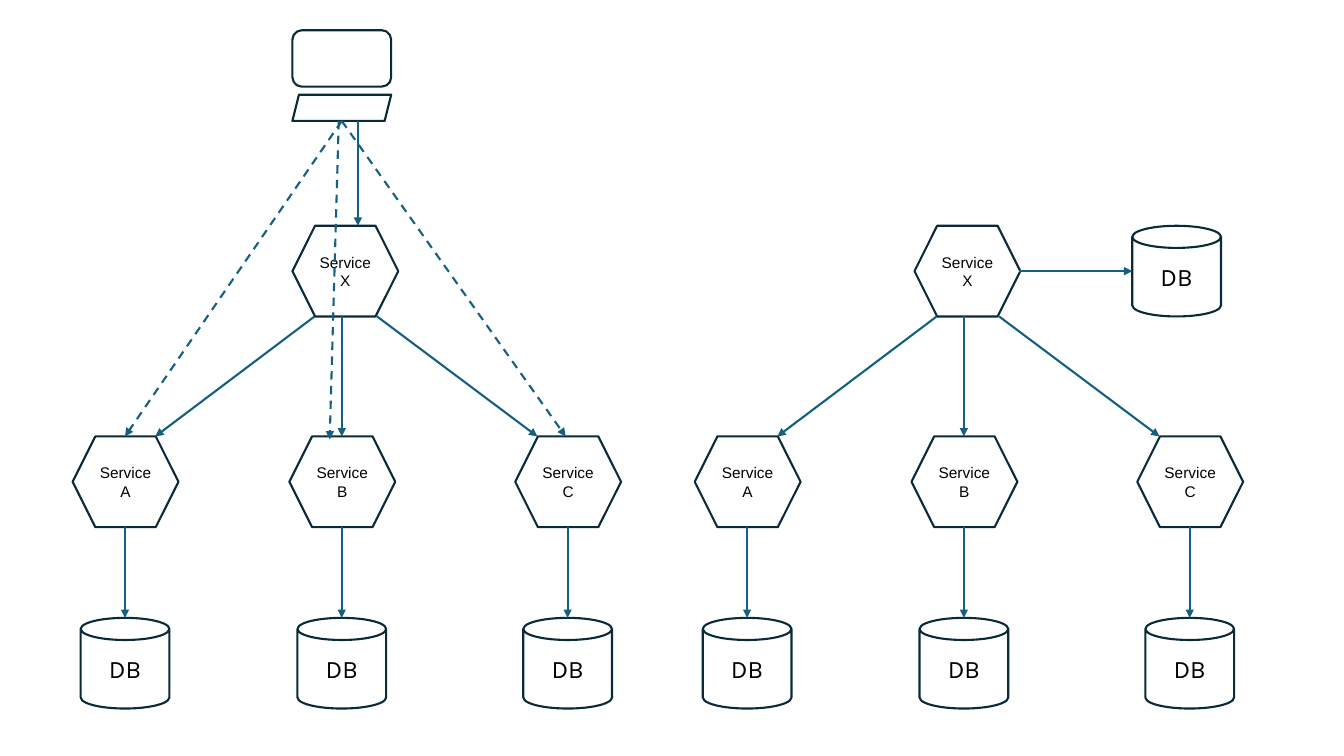
"""Builds a slide of two service trees, one called from a client computer."""
from pptx import Presentation
from pptx.dml.color import RGBColor as RGB
from pptx.enum.dml import MSO_LINE as Dash
from pptx.enum.shapes import MSO_CONNECTOR as Link, MSO_SHAPE as Kind
from pptx.enum.text import MSO_ANCHOR as Anchor, PP_ALIGN as Align
from pptx.oxml.ns import qn
from pptx.oxml.xmlchemy import OxmlElement as Node
from pptx.util import Inches, Pt

HUES = {"fill": "FFFFFF", "edge": "092A39", "arrow": "156082", "text": "000000"}
FONTS = {
    Kind.HEXAGON: {"name": "Arial", "size": Pt(11)},
    Kind.CAN: {"name": "Karla", "size": Pt(18)},
}
WIDTHS = {Kind.HEXAGON: 1.05, Kind.CAN: 0.88}
TALL = 0.9
TOP, MID, LOW = 2.24, 4.33, 6.13

deck = Presentation()
deck.slide_width, deck.slide_height = Inches(13.33), Inches(7.5)
slide = deck.slides.add_slide(deck.slide_layouts[6])


def add_box(kind, left, top, label):
    box = slide.shapes.add_shape(
        kind, Inches(left), Inches(top), Inches(WIDTHS[kind]), Inches(TALL))
    box.shadow.inherit = False
    box.fill.solid()
    box.fill.fore_color.rgb = RGB.from_string(HUES["fill"])
    box.line.color.rgb = RGB.from_string(HUES["edge"])
    box.line.width = Pt(1.5)
    frame = box.text_frame
    frame.word_wrap = True
    frame.vertical_anchor = Anchor.MIDDLE
    para = frame.paragraphs[0]
    para.alignment = Align.CENTER
    run = para.add_run()
    run.text = label
    for key, value in FONTS[kind].items():
        setattr(run.font, key, value)
    run.font.color.rgb = RGB.from_string(HUES["text"])


def add_arrow(x1, y1, x2, y2, dash=None):
    arrow = slide.shapes.add_connector(
        Link.STRAIGHT, Inches(x1), Inches(y1), Inches(x2), Inches(y2))
    arrow.line.color.rgb = RGB.from_string(HUES["arrow"])
    arrow.line.width = Pt(1.5)
    if dash:
        arrow.line.dash_style = dash
    tail = Node("a:tailEnd")
    tail.set("type", "triangle")
    props = arrow.element.find(qn("p:spPr"))
    props.find(qn("a:ln")).append(tail)
    props.append(Node("a:effectLst"))


for left in (0.72, 6.89):
    for name, step in (("A", 0), ("B", 2.15), ("C", 4.39)):
        x = left + step
        add_box(Kind.HEXAGON, x, MID, f"Service {name}")
        add_box(Kind.CAN, x + 0.08, LOW, "DB")
        add_arrow(x + 0.52, MID + TALL, x + 0.52, LOW)
    add_box(Kind.HEXAGON, left + 2.18, TOP, "Service X")
    for start, end in ((2.4, 0.82), (2.67, 2.67), (3.02, 4.61)):
        add_arrow(left + start, TOP + TALL, left + end, MID)

add_box(Kind.CAN, 11.23, TOP, "DB")
add_arrow(10.11, TOP + TALL / 2, 11.23, TOP + TALL / 2)

client = slide.shapes.add_group_shape()
for kind, top, height in (
        (Kind.ROUNDED_RECTANGLE, 0.3, 0.56), (Kind.PARALLELOGRAM, 0.94, 0.26)):
    part = client.shapes.add_shape(
        kind, Inches(2.9), Inches(top), Inches(0.98), Inches(height))
    part.shadow.inherit = False
    part.fill.background()
    part.line.color.rgb = RGB.from_string(HUES["edge"])
    part.line.width = Pt(1.5)

for x1, x2, y2 in ((3.39, 1.24, MID), (3.39, 5.61, MID), (3.36, 3.27, 4.36)):
    add_arrow(x1, 1.2, x2, y2, Dash.DASH)
add_arrow(3.55, 1.2, 3.55, TOP)

deck.save("out.pptx")
